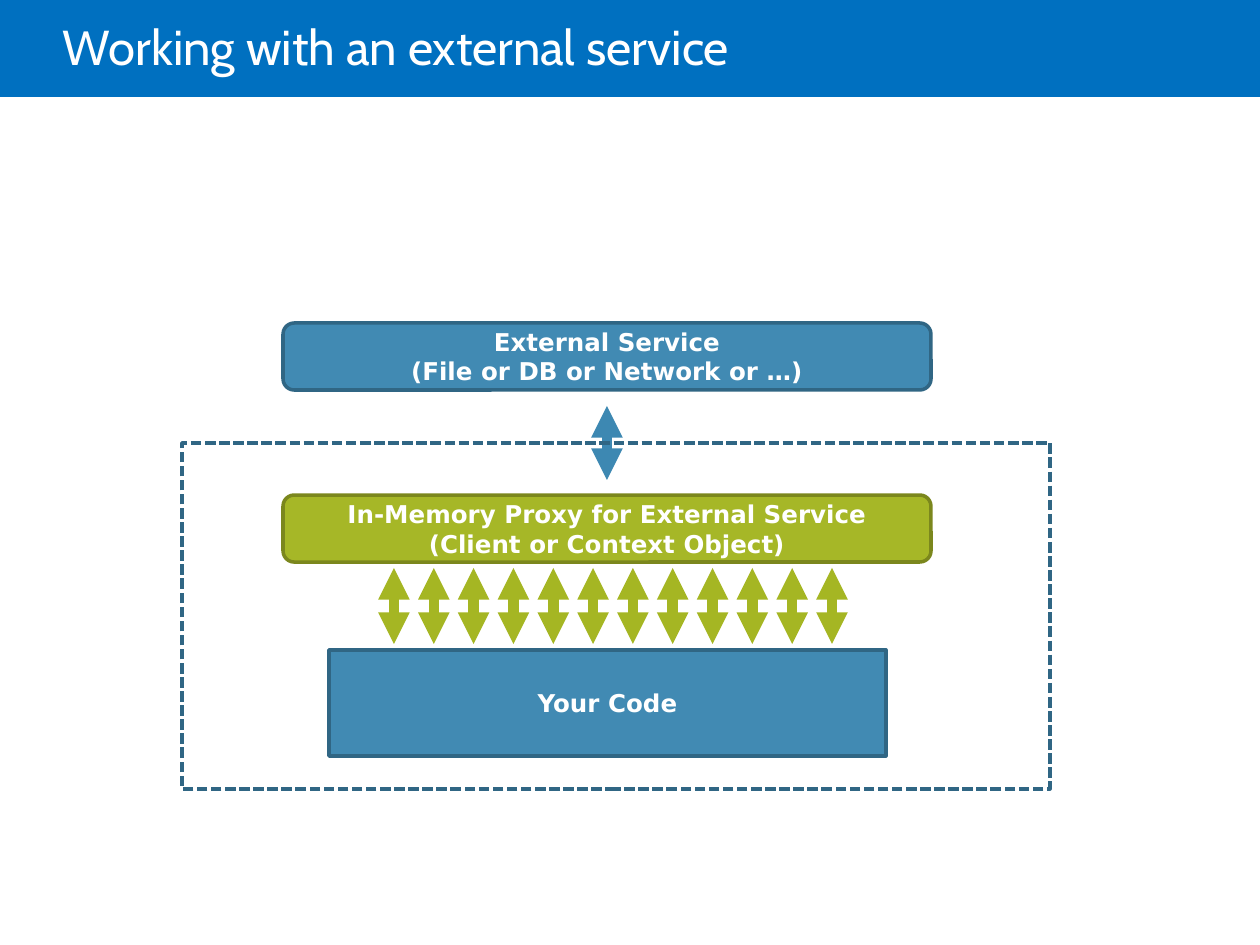
import pptx
import pptx.dml.color
import pptx.enum.dml
import pptx.enum.shapes
import pptx.enum.text
import pptx.oxml.ns
import pptx.util
from lxml import etree

PX = 914400 / 126
BLUE, DARK_BLUE = "418AB3", "306684"
GREEN, DARK_GREEN = "A6B727", "7B871D"
SHAPES = pptx.enum.shapes.MSO_SHAPE
ALIGN = pptx.enum.text.PP_ALIGN

deck = pptx.Presentation()
deck.slide_width = round(1260 * PX)
deck.slide_height = round(945 * PX)
page = deck.slides.add_slide(deck.slide_layouts[6])


def color(value):
    return pptx.dml.color.RGBColor.from_string(value)


def write(box, text, size=14, font="DejaVu Sans", bold=True, align=ALIGN.CENTER, spacing=1.0):
    frame = box.text_frame
    frame.word_wrap = True
    frame.vertical_anchor = pptx.enum.text.MSO_ANCHOR.MIDDLE
    frame.text = text
    for para in frame.paragraphs:
        para.alignment = align
        para.line_spacing = spacing
        for span in para.runs:
            span.font.size = pptx.util.Pt(size)
            span.font.name = font
            span.font.bold = bold
            span.font.color.rgb = color("FFFFFF")


# Title bar
bar = page.shapes.add_shape(SHAPES.RECTANGLE, 0, 0, deck.slide_width, round(97 * PX))
bar.shadow.inherit = False
bar.fill.solid()
bar.fill.fore_color.rgb = color("0070C0")
bar.line.fill.background()

title = page.shapes.add_textbox(*[round(n * PX) for n in (63, 0, 1071, 102)])
title.text_frame.margin_left = 0
write(title, "Working with an external service", size=28, font="Cabin",
      bold=False, align=ALIGN.LEFT, spacing=0.85)

# Boxes, and the dashed boundary around the in-process part
boxes = [
    (SHAPES.ROUNDED_RECTANGLE, (283, 323, 648, 67), BLUE, DARK_BLUE,
     "External Service\n(File or DB or Network or …)"),
    (SHAPES.ROUNDED_RECTANGLE, (283, 495, 648, 67), GREEN, DARK_GREEN,
     "In-Memory Proxy for External Service\n(Client or Context Object)"),
    (SHAPES.RECTANGLE, (182, 443, 868, 346), None, DARK_BLUE, None),
    (SHAPES.RECTANGLE, (329, 650, 557, 106), BLUE, DARK_BLUE, "Your Code"),
]
# Vertical double arrows: x, top, bottom, colour
service_arrow = (607, 406, 480, "3D88B2")
code_arrows = [(394 + 438 * i / 11, 568, 644, "A5B623") for i in range(12)]

for kind, place, fill, outline, text in boxes:
    if text is None:
        arrows = [service_arrow]
    elif text == "Your Code":
        arrows = code_arrows
    else:
        arrows = []
    for x, top, bottom, stroke in arrows:
        arrow = page.shapes.add_connector(
            pptx.enum.shapes.MSO_CONNECTOR.STRAIGHT,
            *[round(n * PX) for n in (x, top, x, bottom)])
        arrow.line.width = pptx.util.Pt(6)
        arrow.line.color.rgb = color(stroke)
        for end in ("a:headEnd", "a:tailEnd"):
            etree.SubElement(arrow.line._get_or_add_ln(), pptx.oxml.ns.qn(end), type="triangle")
        etree.SubElement(arrow._element.spPr, pptx.oxml.ns.qn("a:effectLst"))

    box = page.shapes.add_shape(kind, *[round(n * PX) for n in place])
    box.shadow.inherit = False
    box.line.width = pptx.util.Pt(2)
    box.line.color.rgb = color(outline)
    if text:
        box.fill.solid()
        box.fill.fore_color.rgb = color(fill)
        write(box, text)
    else:
        box.fill.background()
        box.line.dash_style = pptx.enum.dml.MSO_LINE.SQUARE_DOT

deck.save("out.pptx")
